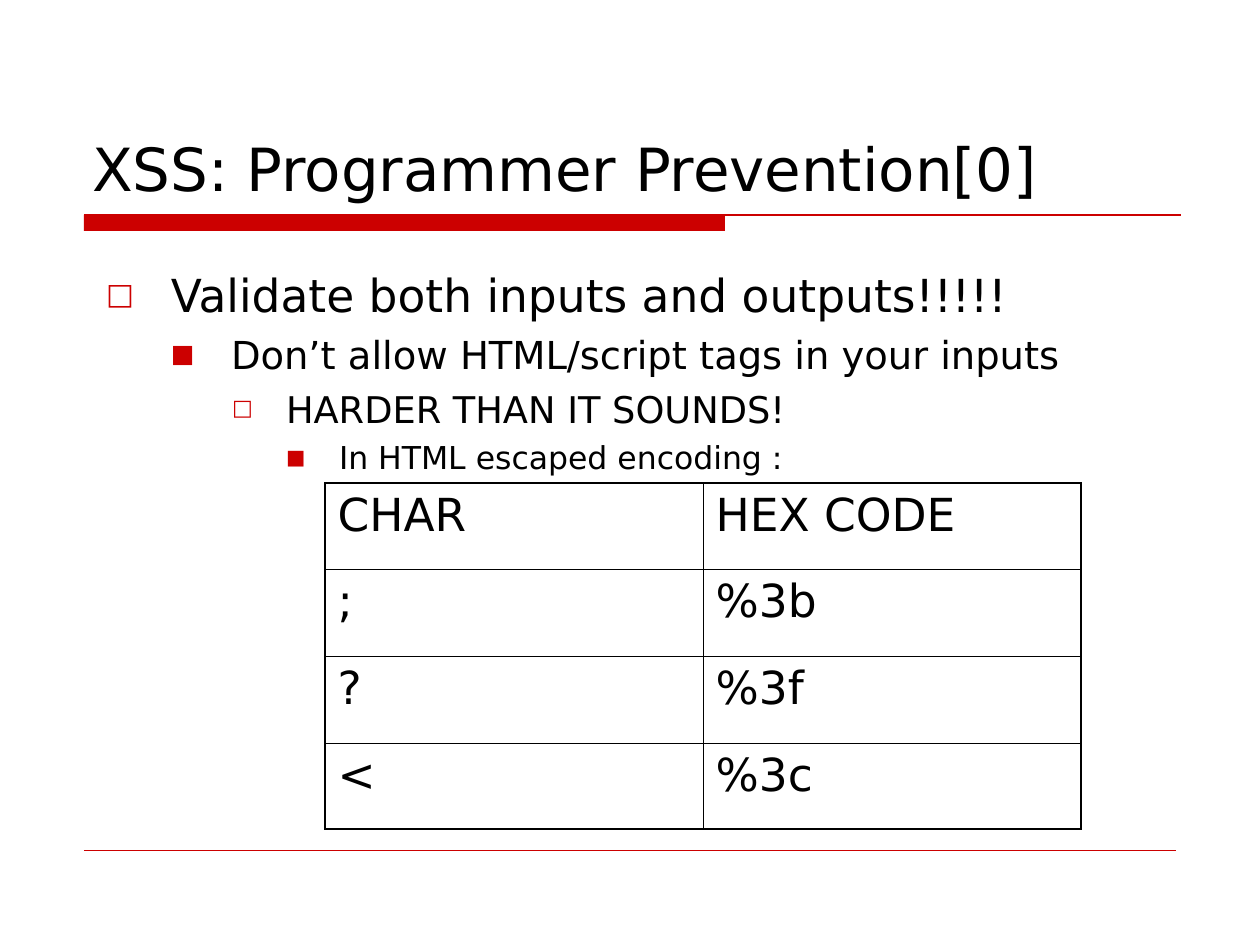
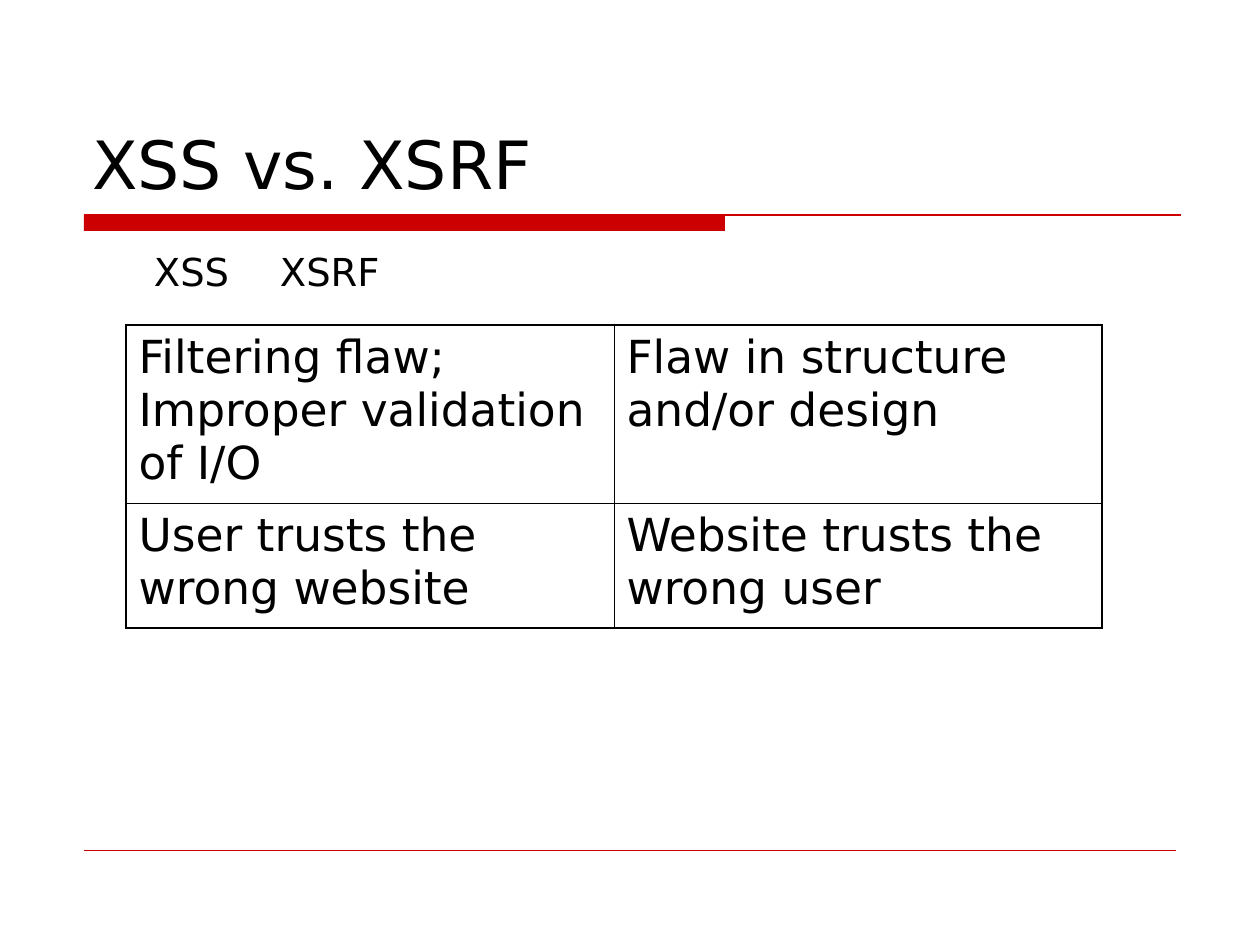
from lxml.etree import SubElement as Sub
from pptx import Presentation
from pptx.dml.color import RGBColor as RGB
from pptx.enum.shapes import MSO_CONNECTOR as CONN, MSO_SHAPE as SHAPE
from pptx.enum.text import MSO_ANCHOR as ANCHOR
from pptx.oxml.ns import qn
from pptx.util import Pt

PX = 914400 / 126  # EMU in one px
HUES = {"red": "CC0000", "ink": "000000"}
FACE = "DejaVu Sans"


def px(*sizes):
    return [round(size * PX) for size in sizes]


def write(frame, text, size, first=True, gap=0, anchor=ANCHOR.TOP):
    """Put one paragraph into a frame and return it."""
    side, edge = px(13, 6)
    form = {"word_wrap": True, "vertical_anchor": anchor,
            "margin_left": side, "margin_right": side,
            "margin_top": edge, "margin_bottom": edge}
    for key, value in form.items():
        setattr(frame, key, value)
    para = frame.paragraphs[0] if first else frame.add_paragraph()
    para.space_before = Pt(gap)
    run = para.add_run()
    run.text = text
    for key, value in {"name": FACE, "size": Pt(size)}.items():
        setattr(run.font, key, value)
    run.font.color.rgb = RGB.from_string(HUES["ink"])
    return para


deck = Presentation()
deck.slide_width, deck.slide_height = px(1260, 945)

# Content of each slide; body rows: text, size, gap, margin, hang, bullet, bullet %
pages = [
    {"title": ("XSS: Programmer Prevention[0]", 34),
     "body": (93, 261, 1087, 554),
     "items": [
         ("Validate both inputs and outputs!!!!!", 26, 6.5, 65, 65, "□", 65),
         ("Don’t allow HTML/script tags in your inputs", 22, 5.5, 125, 60, "■", 65),
         ("HARDER THAN IT SOUNDS!", 21, 5.2, 180, 54, "□", 60),
         ("In HTML escaped encoding :", 18, 4.5, 233, 53, "■", 65)],
     "grid": (325, 483), "cols": [378, 378], "rows": [86, 87, 87, 86],
     "cells": [("CHAR", "HEX CODE"), (";", "%3b"), ("?", "%3f"), ("<", "%3c")]},
    {"title": ("XSS vs. XSRF", 38),
     "body": (78, 242, 1087, 588),
     "items": [("\tXSS\tXSRF", 22, 5.5, 0, 0, None, 0)],
     "grid": (126, 325), "cols": [488, 488], "rows": [178, 125],
     "cells": [("Filtering flaw; Improper validation of I/O",
                "Flaw in structure and/or design"),
               ("User trusts the wrong website",
                "Website trusts the wrong user")]},
]

for page in pages:
    slide = deck.slides.add_slide(deck.slide_layouts[6])
    shapes = slide.shapes

    # Title band and rules
    band = shapes.add_shape(SHAPE.RECTANGLE, *px(84, 215, 641, 16))
    band.shadow.inherit = False
    band.fill.solid()
    band.fill.fore_color.rgb = RGB.from_string(HUES["red"])
    band.line.fill.background()
    for y, end, width in [(215, 1181, 0.75), (850, 1176, 0.25)]:
        rule = shapes.add_connector(CONN.STRAIGHT, *px(84, y, end, y))
        rule.line.width = Pt(width)
        rule.line.color.rgb = RGB.from_string(HUES["red"])
        Sub(rule._element.spPr, qn("a:effectLst"))

    # Title
    title = shapes.add_textbox(*px(79, 42, 1102, 167))
    write(title.text_frame, *page["title"], anchor=ANCHOR.BOTTOM)

    # Body text
    body = shapes.add_textbox(*px(*page["body"]))
    for i, (text, size, gap, left, hang, mark, scale) in enumerate(page["items"]):
        para = write(body.text_frame, text, size, i == 0, gap)
        props = para._p.get_or_add_pPr()
        for key, value in zip(("marL", "indent"), px(left, -hang)):
            props.set(key, str(value))
        if mark:
            tint = Sub(props, qn("a:buClr"))
            Sub(tint, qn("a:srgbClr"), val=HUES["red"])
            Sub(props, qn("a:buSzPct"), val=str(scale * 1000))
            Sub(props, qn("a:buFont"), typeface=FACE)
            Sub(props, qn("a:buChar"), char=mark)
        else:
            tabs = Sub(props, qn("a:tabLst"))
            for stop in px(126, 630):
                Sub(tabs, qn("a:tab"), pos=str(stop), algn="l")

    # Table
    cols, rows = page["cols"], page["rows"]
    area = px(*page["grid"], sum(cols), sum(rows))
    table = shapes.add_table(len(rows), len(cols), *area).table
    for key in ("first_row", "horz_banding"):
        setattr(table, key, False)
    for col, width in zip(table.columns, px(*cols)):
        col.width = width
    for row, height in zip(table.rows, px(*rows)):
        row.height = height
    for r, line in enumerate(page["cells"]):
        for c, text in enumerate(line):
            cell = table.cell(r, c)
            write(cell.text_frame, text, 26, gap=6.5)
            # Outer edges are heavier than inner ones
            outer = {"L": c == 0, "R": c == len(cols) - 1,
                     "T": r == 0, "B": r == len(rows) - 1}
            props = cell._tc.get_or_add_tcPr()
            for side, heavy in outer.items():
                edge = Sub(props, qn("a:ln" + side),
                           w=str(Pt(1.08 if heavy else 0.45)))
                Sub(Sub(edge, qn("a:solidFill")), qn("a:srgbClr"), val=HUES["ink"])
            cell.fill.background()

deck.save("out.pptx")
